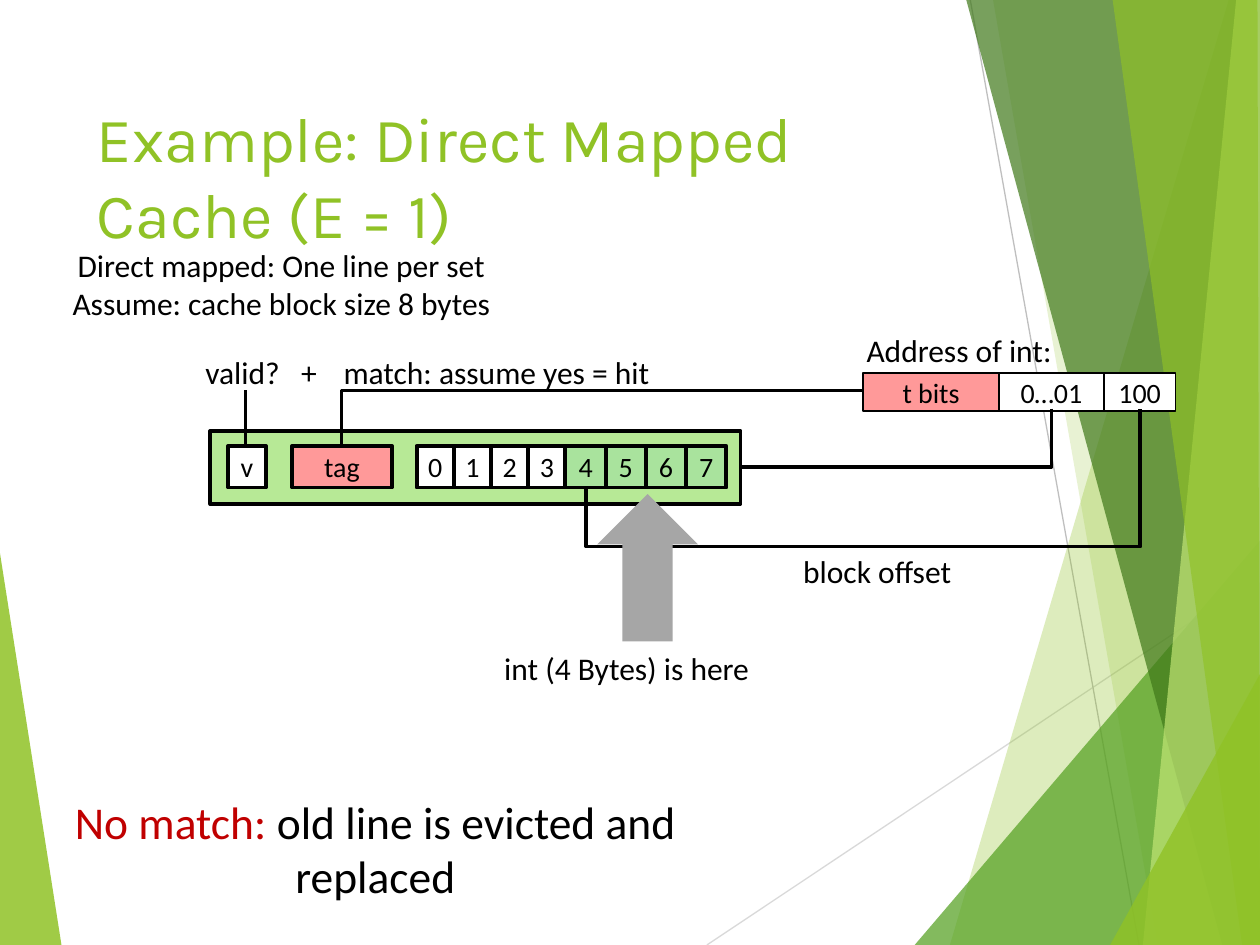
"""Build the slide on looking up an int in a direct mapped cache."""
from lxml.etree import SubElement
from pptx import Presentation
from pptx.dml.color import RGBColor
from pptx.enum.shapes import MSO_CONNECTOR as Link, MSO_SHAPE as Preset
from pptx.enum.text import MSO_ANCHOR as Anchor, MSO_AUTO_SIZE as AutoSize, PP_ALIGN as Align
from pptx.oxml.ns import qn
from pptx.util import Cm, Pt

COLORS = {
    "black": "000000", "white": "FFFFFF", "red": "C00000", "pink": "FF9999",
    "line": "B7E996", "int": "A9E39D", "arrow": "A6A6A6",
    "lime": "90C226", "grass": "54A021", "forest": "3F7819", "pale": "C0E474",
    "light_gray": "D9D9D9", "gray": "BFBFBF",
}


def color(name):
    return RGBColor.from_string(COLORS[name])


def add_run(paragraph, text, size, color_name="black", font="Calibri"):
    run = paragraph.add_run()
    run.text = text
    run.font.size = Pt(size)
    run.font.name = font
    run.font.color.rgb = color(color_name)


presentation = Presentation()
presentation.slide_width, presentation.slide_height = Cm(25.4), Cm(19.05)
slide = presentation.slides.add_slide(presentation.slide_layouts[5])
shapes = slide.shapes

facets = [
    ("lime", 85, [(0, 1115), (124, 1905), (0, 1905)]),
    ("lime", 30, [(2477, 0), (1915, 1905), (2540, 1905), (2540, 0)]),
    ("lime", 20, [(2002, 0), (2334, 1905), (2540, 1905), (2540, 0)]),
    ("grass", 72, [(1844, 1905), (2540, 1090), (2540, 1905)]),
    ("forest", 70, [(1948, 0), (2464, 1905), (2540, 1905), (2540, 0)]),
    ("pale", 70, [(2492, 0), (2304, 1905), (2540, 1905), (2540, 0)]),
    ("lime", 65, [(2243, 0), (2504, 1905), (2540, 1905), (2535, 0)]),
    ("lime", 80, [(2238, 1905), (2540, 1359), (2540, 1905)]),
]
rays = [("light_gray", 14.25, 19.05, 25.4, 11.61), ("gray", 19.56, 0, 22.96, 19.05)]

for index, (fill, opacity, points) in enumerate(facets):
    builder = shapes.build_freeform(*points[0], scale=Cm(0.01))
    builder.add_line_segments(points[1:], close=True)
    facet = builder.convert_to_shape()
    facet.shadow.inherit = False
    facet.fill.solid()
    facet.fill.fore_color.rgb = color(fill)
    facet.line.fill.background()
    srgb = facet.element.spPr.find(".//" + qn("a:srgbClr"))
    SubElement(srgb, qn("a:alpha"), val=str(opacity * 1000))
    if index == 0:
        for ray_color, *ends in rays:
            ray = shapes.add_connector(Link.STRAIGHT, *map(Cm, ends))
            ray.line.color.rgb = color(ray_color)
            ray.line.width = Pt(0.75)
            SubElement(ray.element.spPr, qn("a:effectLst"))

title = shapes.title
title.left, title.top, title.width, title.height = Cm(1.7), Cm(1.7), Cm(17.63), Cm(3.66)
title.text_frame.word_wrap = True
title.text_frame.vertical_anchor = Anchor.MIDDLE
title_paragraph = title.text_frame.paragraphs[0]
title_paragraph.alignment = Align.LEFT
add_run(title_paragraph, "Example: Direct Mapped Cache (E = 1)", 36, "lime", "Karla")

address_top, address_height = 7.52, 0.76
cell_top, cell_height = 8.99, 0.84
boxes = [
    ("t bits", 17.4, address_top, 2.74, address_height, "pink", 1),
    ("0…01", 20.14, address_top, 2.11, address_height, "white", 1),
    ("100", 22.25, address_top, 1.45, address_height, "white", 1),
    ("", 4.24, 8.69, 10.69, 1.47, "line", 2.25),
    ("v", 4.6, cell_top, 0.76, cell_height, "white", 2.25),
    ("tag", 5.89, cell_top, 2.01, cell_height, "pink", 2.25),
]
for byte in range(4):
    boxes.append((str(byte), 8.4 + 0.75 * byte, cell_top, 0.75, cell_height, "white", 2.25))
for byte in range(4):
    boxes.append((str(byte + 4), 11.4 + 0.81 * byte, cell_top, 0.81, cell_height, "int", 2.25))

for text, left, top, width, height, fill, weight in boxes:
    box = shapes.add_shape(Preset.RECTANGLE, Cm(left), Cm(top), Cm(width), Cm(height))
    box.shadow.inherit = False
    box.fill.solid()
    box.fill.fore_color.rgb = color(fill)
    box.line.color.rgb = color("black")
    box.line.width = Pt(weight)
    if text:
        box.text_frame.word_wrap = False
        box.text_frame.vertical_anchor = Anchor.MIDDLE
        paragraph = box.text_frame.paragraphs[0]
        paragraph.alignment = Align.CENTER
        add_run(paragraph, text, 16)

wires = [
    (Link.ELBOW, "bentConnector2", 17.48, 5.69, 18.65, 11.96, 90, None),
    (Link.ELBOW, "bentConnector2", 6.88, 8.99, 17.4, 7.87, 180, None),
    (Link.STRAIGHT, "line", 4.95, 7.87, 4.95, 8.99, 0, None),
    (Link.ELBOW, "bentConnector3", 16.61, 3.46, 18.19, 14.63, 90, 175100),
]
for kind, preset, *ends, angle, bend in wires:
    wire = shapes.add_connector(kind, *map(Cm, ends))
    wire.line.color.rgb = color("black")
    wire.line.width = Pt(2)
    properties = wire.element.spPr
    SubElement(properties, qn("a:effectLst"))
    properties.find(qn("a:xfrm")).set("rot", str(angle * 60000))
    geometry = properties.find(qn("a:prstGeom"))
    geometry.set("prst", preset)
    if bend:
        SubElement(geometry.find(qn("a:avLst")), qn("a:gd"), name="adj1", fmla=f"val {bend}")

arrow = shapes.add_shape(Preset.UP_ARROW, Cm(12.04), Cm(9.96), Cm(2.03), Cm(2.97))
arrow.shadow.inherit = False
arrow.fill.solid()
arrow.fill.fore_color.rgb = color("arrow")
arrow.line.fill.background()

labels = [
    (["Direct mapped: One line per set", "Assume: cache block size 8 bytes"], 1.09, 4.83, 9.17, 1.8),
    (["Address of int:"], 17.15, 6.55, 4.37, 1.02),
    (["match: assume yes = hit"], 6.58, 6.99, 6.86, 1.02),
    (["valid?\t+"], 3.89, 6.99, 2.84, 1.02),
    (["int (4 Bytes) is here"], 9.83, 12.95, 5.61, 1.02),
    (["block offset"], 15.88, 11, 3.61, 1.02),
]
for lines, *frame in labels:
    label = shapes.add_textbox(*map(Cm, frame))
    label.text_frame.word_wrap = False
    label.text_frame.auto_size = AutoSize.SHAPE_TO_FIT_TEXT
    for index, line in enumerate(lines):
        paragraph = label.text_frame.add_paragraph() if index else label.text_frame.paragraphs[0]
        paragraph.alignment = Align.CENTER
        if "\t" in line:
            paragraph.alignment = Align.LEFT
            tabs = SubElement(paragraph._p.get_or_add_pPr(), qn("a:tabLst"))
            SubElement(tabs, qn("a:tab"), pos=str(Cm(1.93)), algn="l")
        add_run(paragraph, line, 18)

note = shapes.add_textbox(Cm(1.02), Cm(15.88), Cm(13.1), Cm(1.27))
note.text_frame.word_wrap = True
note_paragraph = note.text_frame.paragraphs[0]
note_paragraph.alignment = Align.CENTER
add_run(note_paragraph, "No match: ", 26, "red")
add_run(note_paragraph, "old line is evicted and replaced", 26)

presentation.save("out.pptx")
